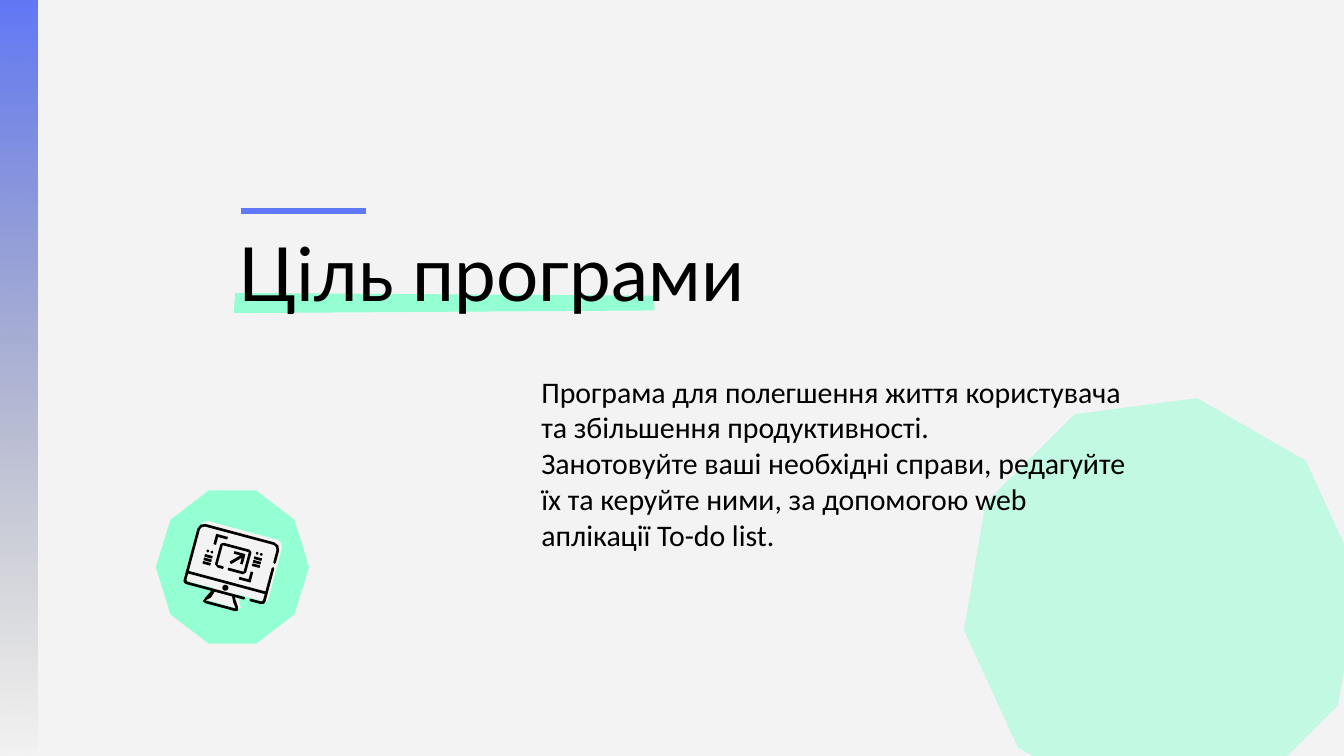
"""Build the slide that states the goal of a to-do list program."""
from typing import NamedTuple

from lxml.etree import SubElement
from pptx import Presentation
from pptx.dml.color import RGBColor
from pptx.enum.shapes import MSO_CONNECTOR as Connector, MSO_SHAPE as Shape
from pptx.enum.text import MSO_ANCHOR as Anchor
from pptx.oxml.ns import qn
from pptx.util import Inches, Pt

BLUE = RGBColor(0x61, 0x78, 0xF6)
GREY = RGBColor(0x73, 0x73, 0x73)
MINT = RGBColor(0x95, 0xFF, 0xD4)
PAPER = RGBColor(0xF3, 0xF3, 0xF3)
BLACK = RGBColor(0, 0, 0)

SLIDE_WIDTH = 10
SLIDE_HEIGHT = SLIDE_WIDTH * 9 / 16
ICON_LEFT, ICON_TOP, ICON_UNIT = 1.4, 3.96, 0.01
ICON_TILT = 15

NBSP = chr(160)
TITLE = f"Ціль{NBSP}програми"
GOAL = (
    f"Програма{NBSP}для полегшення{NBSP}життя користувача та збільшення продуктивності. "
    f"Занотовуйте{NBSP}ваші необхідні справи, редагуйте їх та керуйте ними, "
    "за допомогою web аплікації To-do list."
)


class Box(NamedTuple):
    left: float
    top: float
    width: float
    height: float

    def lengths(self) -> list[int]:
        return [Inches(value) for value in self]


class Point(NamedTuple):
    x: float
    y: float


class Outline(NamedTuple):
    contours: list[list[tuple[float, float]]]
    color: RGBColor = BLACK
    shift: Point = Point(0, 0)


SILHOUETTE = [
    (5, 0), (1.5, 1.5), (0, 5), (0, 45), (1, 46.5), (3, 47), (22, 47), (19, 53), (18, 56), (20, 57),
    (43, 57), (45, 56), (40, 47), (60, 47), (62.5, 46), (63, 44), (63, 5), (61.5, 1.5), (58, 0),
]
MONITOR = SILHOUETTE[:12] + [
    (44, 53), (40, 47), (47, 47), (48, 46), (47, 45), (3, 45), (2, 44), (2, 39),
    (61, 39), (61, 44), (60, 45), (52, 45), (51, 46), (52, 47), (60, 47), (62.5, 46), (63, 44),
    (63, 19), (62, 18), (61, 19), (61, 37), (2, 37), (2, 5), (3, 3), (5, 2), (58, 2), (60, 3),
    (61, 5), (61, 14.5), (62, 15.5), (63, 14.5), (63, 5), (61.5, 1.5), (58, 0),
]
STAND = [(38, 47), (40, 51), (43, 55), (19.5, 55), (23, 52), (24.5, 47)]
WINDOW = [
    (22, 10), (20, 11), (19.5, 12), (19.5, 27), (22, 29), (26, 29), (26.5, 28), (26, 27), (21.5, 27),
    (21.5, 12), (41.5, 12), (41.5, 27), (30, 27), (29.5, 28), (30, 29), (41.5, 29), (43.5, 27),
    (43.5, 12), (43, 11), (41.5, 10),
]
ARROW = [
    (31, 14), (39, 14), (39.5, 14.5), (39.5, 22), (37.5, 22), (37.5, 17.5), (31, 24), (29.5, 22.5),
    (36, 16), (31, 16),
]
CORNER = [(14.5, 5), (23.5, 5), (23.5, 7), (16.5, 7), (16.5, 13), (14.5, 13)]
OPPOSITE_CORNER = [(63 - x, 38.5 - y) for x, y in CORNER]

ICON_OUTLINES = [
    Outline([SILHOUETTE], PAPER, Point(1.5, -2.5)),
    Outline([STAND, MONITOR]),
    Outline([WINDOW]),
    Outline([ARROW]),
    Outline([OPPOSITE_CORNER]),
    Outline([CORNER]),
]
INDICATORS = [Point(49.3, 11.2), Point(13.4, 19)]


def paint(shape, color: RGBColor) -> None:
    shape.shadow.inherit = False
    shape.fill.solid()
    shape.fill.fore_color.rgb = color
    shape.line.fill.background()


def set_alpha(shape, percent: int) -> None:
    color = list(shape._element.spPr.iter(qn("a:srgbClr")))[-1]
    SubElement(color, qn("a:alpha")).set("val", str(percent * 1000))


def add_preset(shapes, kind: Shape, box: Box, color: RGBColor):
    shape = shapes.add_shape(kind, *box.lengths())
    paint(shape, color)
    return shape


def add_outline(shapes, contours: list[list[Point]], color: RGBColor) -> None:
    contours = [[(Inches(x), Inches(y)) for x, y in contour] for contour in contours]
    builder = shapes.build_freeform(*contours[0][0])
    for index, contour in enumerate(contours):
        if index:
            builder.move_to(*contour[0])
        builder.add_line_segments(contour[1:], close=True)
    paint(builder.convert_to_shape(), color)


def add_text(slide, text: str, box: Box, *, font: str, size: float, anchor: Anchor) -> None:
    frame = slide.shapes.add_textbox(*box.lengths()).text_frame
    frame.word_wrap = True
    frame.vertical_anchor = anchor
    frame.margin_left = frame.margin_right = Inches(0.1)
    frame.margin_top = frame.margin_bottom = Inches(0.1)
    run = frame.paragraphs[0].add_run()
    run.text = text
    run.font.name = font
    run.font.size = Pt(size)
    run.font.color.rgb = BLACK


def icon_point(x: float, y: float) -> Point:
    return Point(ICON_LEFT + x * ICON_UNIT, ICON_TOP + y * ICON_UNIT)


def add_icon_mark(shapes, kind: Shape, x: float, y: float, width: float, height: float) -> None:
    corner = icon_point(x - width / 2, y - height / 2)
    add_preset(shapes, kind, Box(*corner, width * ICON_UNIT, height * ICON_UNIT), BLACK)


def add_computer_icon(slide) -> None:
    group = slide.shapes.add_group_shape()
    for outline in ICON_OUTLINES:
        contours = [
            [icon_point(x + outline.shift.x, y + outline.shift.y) for x, y in contour]
            for contour in outline.contours
        ]
        add_outline(group.shapes, contours, outline.color)
    add_icon_mark(group.shapes, Shape.OVAL, 31.5, 42, 4.5, 4.5)
    for x, y in INDICATORS:
        for offset in (-1.6, 1.6):
            add_icon_mark(group.shapes, Shape.OVAL, x + offset, y, 2, 2)
        for row in range(3):
            add_icon_mark(group.shapes, Shape.ROUNDED_RECTANGLE, x, y + 3.7 + 2.7 * row, 6, 2)
    group.rotation = ICON_TILT


def add_side_band(slide) -> None:
    band = add_preset(slide.shapes, Shape.RECTANGLE, Box(0, 0, 0.28, SLIDE_HEIGHT), BLUE)
    band.fill.gradient()
    band.fill.gradient_angle = 270
    for stop, color in zip(band.fill.gradient_stops, (BLUE, GREY)):
        stop.color.rgb = color
    set_alpha(band, 0)


def add_accent_line(slide) -> None:
    ends = [Inches(value) for value in (1.79, 1.57, 2.72, 1.57)]
    line = slide.shapes.add_connector(Connector.STRAIGHT, *ends)
    line.line.color.rgb = BLUE
    line.line.width = Pt(3)
    SubElement(line._element.spPr, qn("a:effectLst"))


def main() -> None:
    presentation = Presentation()
    presentation.slide_width = Inches(SLIDE_WIDTH)
    presentation.slide_height = Inches(SLIDE_HEIGHT)
    slide = presentation.slides.add_slide(presentation.slide_layouts[6])
    slide.background.fill.solid()
    slide.background.fill.fore_color.rgb = PAPER

    decagon = add_preset(slide.shapes, Shape.DECAGON, Box(7.16, 3.01, 2.97, 2.97), MINT)
    decagon.rotation = 352.5
    set_alpha(decagon, 53)
    add_side_band(slide)
    add_preset(slide.shapes, Shape.DECAGON, Box(1.16, 3.65, 1.14, 1.14), MINT)
    highlight = [Point(1.75, 2.18), Point(1.74, 2.33), Point(4.87, 2.31), Point(4.87, 2.2)]
    add_outline(slide.shapes, [highlight], MINT)
    add_text(slide, TITLE, Box(1.68, 1.59, 4.1, 0.79), font="Lato", size=40, anchor=Anchor.TOP)
    add_text(slide, GOAL, Box(3.93, 2.58, 4.63, 1.63),
             font="Calibri", size=16, anchor=Anchor.BOTTOM)
    add_accent_line(slide)
    add_computer_icon(slide)
    presentation.save("out.pptx")


if __name__ == "__main__":
    main()
